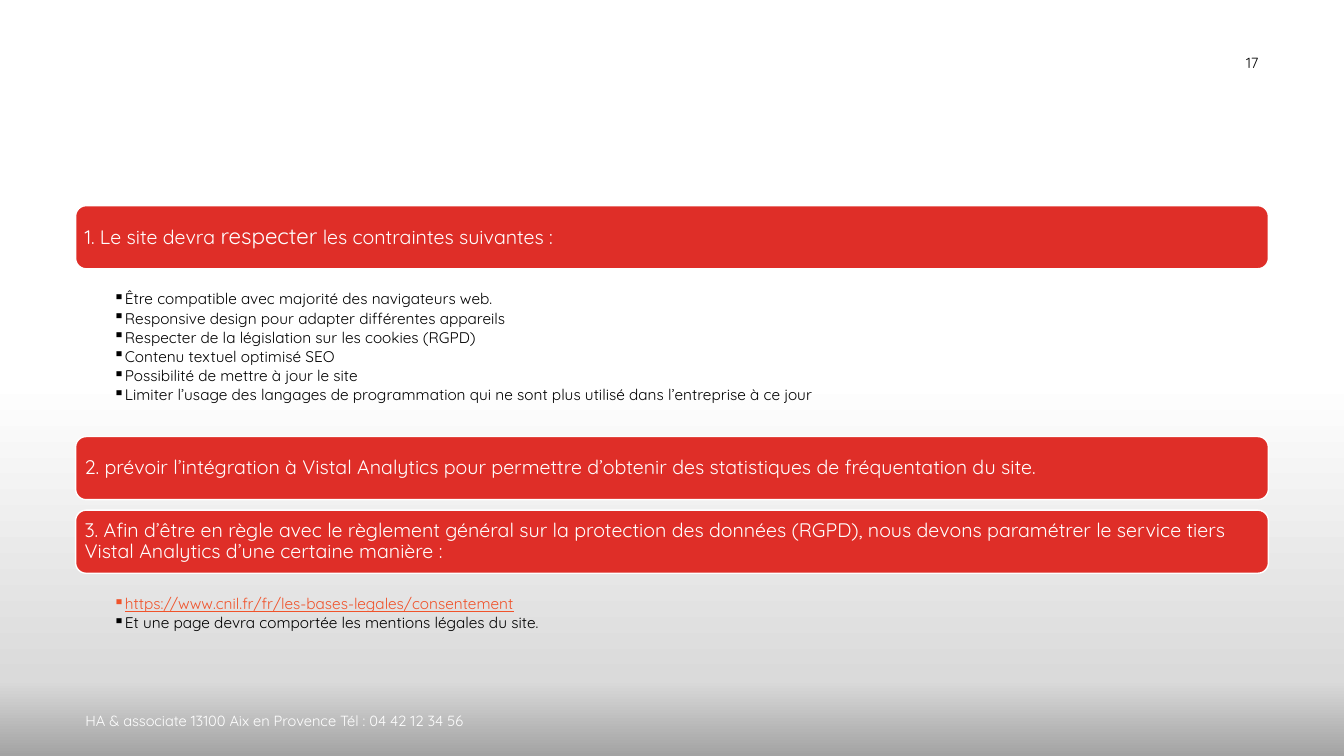
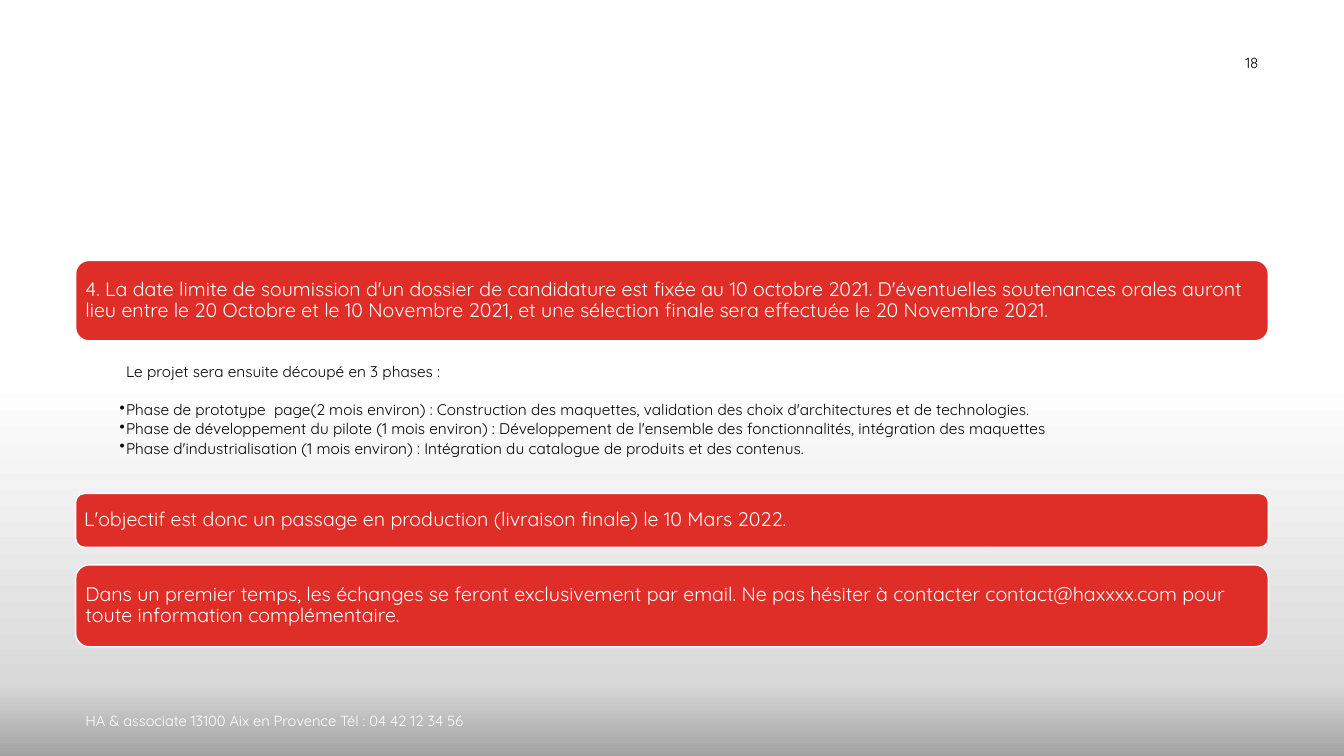
"""Build two slides of project requirements as red banners with bullet lists."""
from dataclasses import dataclass

from lxml import etree
from pptx import Presentation
from pptx.dml.color import RGBColor
from pptx.enum import shapes, text
from pptx.oxml.ns import qn
from pptx.util import Pt


@dataclass(frozen=True)
class Theme:
    """Colours, type and shared measures in points."""
    font: str = "Quicksand"
    red: str = "DF2E28"
    white: str = "FFFFFF"
    black: str = "000000"
    link: str = "F0532B"
    heading: float = 14
    emphasis: float = 16
    body: float = 11
    small: float = 10.5
    left: float = 54
    width: float = 852
    line: float = 0.9
    pitch: float = 14.1
    gap: float = 1.75
    hang: float = 4.5
    backdrop: tuple = ((0, "FFFFFF"), (50, "FFFFFF"), (90, "DADADA"), (100, "A3A3A3"))


@dataclass(frozen=True)
class Section:
    """A banner with an optional list below it."""
    top: float
    height: float
    heading: tuple
    items: tuple = ()
    intro: str = ""
    bullet: str = "▪"
    level: int = 1


THEME = Theme()
FOOTER = "HA & associate 13100 Aix en Provence Tél : 04 42 12 34 56"
LINK = {"color": THEME.link, "underline": True}

SLIDES = {
    17: (
        Section(
            146.9, 45.1,
            (("1. Le site devra ", {}),
             ("respecter", {"size": THEME.emphasis}),
             (" les contraintes suivantes :", {})),
            (("Être compatible avec majorité des navigateurs web.", {}),
             ("Responsive design pour adapter différentes appareils", {}),
             ("Respecter de la législation sur les cookies (RGPD)", {}),
             ("Contenu textuel optimisé SEO", {}),
             ("Possibilité de mettre à jour le site", {}),
             ("Limiter l’usage des langages de programmation qui ne sont plus "
              "utilisé dans l’entreprise à ce jour", {}))),
        Section(
            311.8, 45.1,
            (("2. prévoir l’intégration à Vistal Analytics pour permettre d’obtenir "
              "des statistiques de fréquentation du site.", {}),)),
        Section(
            364.4, 45.1,
            (("3. Afin d’être en règle avec le règlement général sur la protection "
              "des données (RGPD), nous devons paramétrer le service tiers "
              "Vistal Analytics d’une certaine manière :", {}),),
            (("https://www.cnil.fr/fr/les-bases-legales/consentement", LINK),
             ("Et une page devra comportée les mentions légales du site.", {}))),
    ),
    18: (
        Section(
            186, 57.5,
            (("4. La date limite de soumission d'un dossier de candidature est fixée "
              "au 10 octobre 2021. D'éventuelles soutenances orales auront lieu entre "
              "le 20 Octobre et le 10 Novembre 2021, et une sélection finale sera "
              "effectuée le 20 Novembre 2021.", {}),),
            (("Phase de prototype  page(2 mois environ) : Construction des maquettes, "
              "validation des choix d'architectures et de technologies.", {}),
             ("Phase de développement du pilote (1 mois environ) : Développement de "
              "l'ensemble des fonctionnalités, intégration des maquettes", {}),
             ("Phase d'industrialisation (1 mois environ) : Intégration du catalogue "
              "de produits et des contenus.", {})),
            intro="Le projet sera ensuite découpé en 3 phases :",
            bullet="•", level=2),
        Section(
            352.5, 38.5,
            (("L'objectif est donc un passage en production (livraison finale) "
              "le 10 Mars 2022.", {}),)),
        Section(
            403.5, 58.5,
            (("Dans un premier temps, les échanges se feront exclusivement par email. "
              "Ne pas hésiter à contacter contact@haxxxx.com pour toute information "
              "complémentaire.", {}),)),
    ),
}


def write(para, words, size=THEME.body, color=THEME.black, underline=False):
    """Add a formatted span to a paragraph."""
    span = para.add_run()
    span.text = words
    span.font.name = THEME.font
    span.font.size = Pt(size)
    span.font.color.rgb = RGBColor.from_string(color)
    if underline:
        span.font.underline = True


def set_margins(frame, left, top, right, bottom):
    """Wrap a text frame and set its margins."""
    frame.word_wrap = True
    frame.margin_left, frame.margin_top = Pt(left), Pt(top)
    frame.margin_right, frame.margin_bottom = Pt(right), Pt(bottom)


def set_bullet(para, level, bullet):
    """Indent a paragraph and give it a bullet, if any."""
    props = para._p.get_or_add_pPr()
    props.set("marL", str(Pt(THEME.hang * level)))
    props.set("indent", str(-Pt(THEME.hang) if bullet else 0))
    if bullet:
        etree.SubElement(props, qn("a:buChar"), char=bullet)
    else:
        etree.SubElement(props, qn("a:buNone"))


def add_banner(page, left, top, width, height, heading):
    """Draw a rounded red banner with its heading."""
    box = page.shapes.add_shape(
        shapes.MSO_SHAPE.ROUNDED_RECTANGLE, Pt(left), Pt(top), Pt(width), Pt(height))
    box.shadow.inherit = False
    box.fill.solid()
    box.fill.fore_color.rgb = RGBColor.from_string(THEME.red)
    box.line.color.rgb = RGBColor.from_string(THEME.white)
    box.line.width = Pt(1)
    frame = box.text_frame
    set_margins(frame, 4.2, 4.2, 4.2, 4.2)
    frame.vertical_anchor = text.MSO_ANCHOR.MIDDLE
    para = frame.paragraphs[0]
    para.alignment = text.PP_ALIGN.LEFT
    para.line_spacing = THEME.line
    for words, style in heading:
        write(para, words, **{"size": THEME.heading, "color": THEME.white, **style})


def add_list(page, left, top, width, section):
    """Place the introduction and bullets of a section."""
    rows = [(words, style, section.bullet, THEME.gap) for words, style in section.items]
    if section.intro:
        rows.insert(0, (section.intro, {}, "", THEME.gap + THEME.pitch))
    height = THEME.pitch * (len(rows) + 2)
    box = page.shapes.add_textbox(Pt(left), Pt(top), Pt(width), Pt(height))
    frame = box.text_frame
    set_margins(frame, 27, 1.5 + THEME.pitch, 6.5, 1.5)
    for index, (words, style, bullet, after) in enumerate(rows):
        para = frame.add_paragraph() if index else frame.paragraphs[0]
        para.line_spacing = THEME.line
        para.space_after = Pt(after)
        set_bullet(para, section.level, bullet)
        write(para, words, **style)


def add_section(page, left, width, section):
    """Stack a banner and its list."""
    add_banner(page, left, section.top, width, section.height, section.heading)
    if section.items:
        add_list(page, left, section.top + section.height + 0.7, width, section)


def add_label(page, left, top, width, words, color, align):
    """Place one small line at the edge of the page."""
    box = page.shapes.add_textbox(Pt(left), Pt(top), Pt(width), Pt(28.8))
    frame = box.text_frame
    frame.word_wrap = True
    frame.vertical_anchor = text.MSO_ANCHOR.MIDDLE
    frame.paragraphs[0].alignment = align
    write(frame.paragraphs[0], words, size=THEME.small, color=color)


def set_backdrop(master):
    """Give every page the vertical grey gradient."""
    fill = master.background.fill
    fill.gradient()
    fill.gradient_angle = 270
    stops = master.element.find(".//" + qn("a:gsLst"))
    for stop in list(stops):
        stops.remove(stop)
    for percent, color in THEME.backdrop:
        stop = etree.SubElement(stops, qn("a:gs"), pos=str(percent * 1000))
        etree.SubElement(stop, qn("a:srgbClr"), val=color)


def add_page(deck, number, sections):
    """Build one page with its sections, number and footer."""
    page = deck.slides.add_slide(deck.slide_layouts.get_by_name("Blank"))
    for section in sections:
        add_section(page, THEME.left, THEME.width, section)
    right = THEME.left + THEME.width
    add_label(page, right - 216, 30.2, 216, str(number), THEME.black, text.PP_ALIGN.RIGHT)
    add_label(page, THEME.left, 500.4, 612, FOOTER, THEME.white, text.PP_ALIGN.LEFT)


def main():
    """Create and save the deck."""
    deck = Presentation()
    deck.slide_width, deck.slide_height = Pt(960), Pt(540)
    set_backdrop(deck.slide_master)
    for number, sections in SLIDES.items():
        add_page(deck, number, sections)
    deck.save("out.pptx")


if __name__ == "__main__":
    main()
